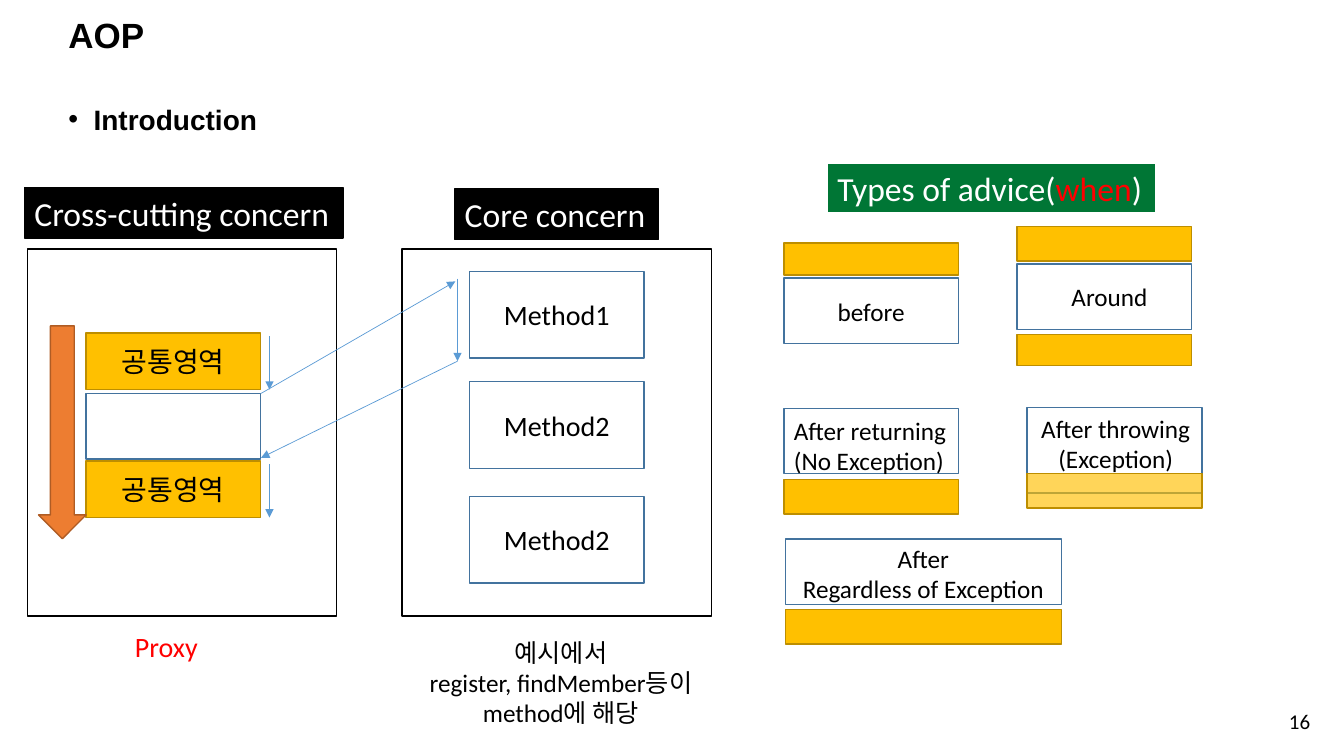
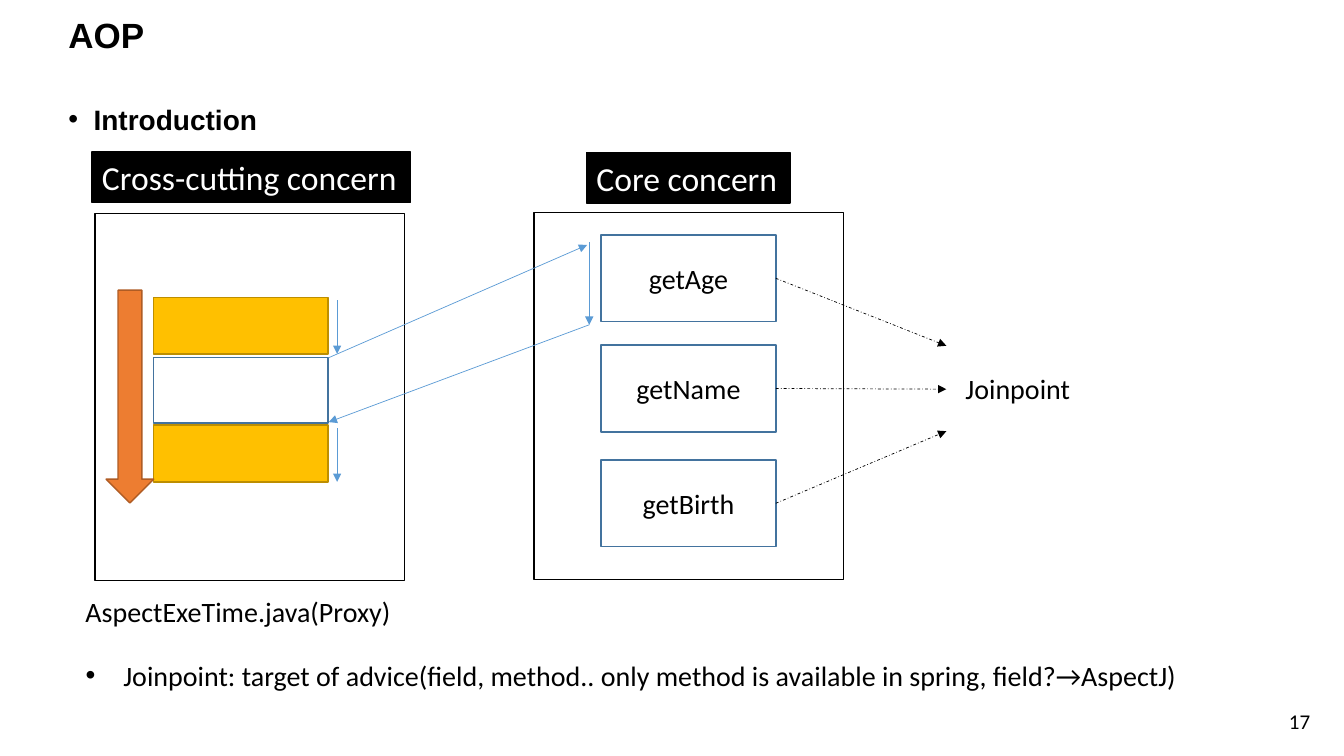
from dataclasses import dataclass

from lxml.etree import SubElement
from pptx import Presentation
from pptx.dml.color import RGBColor
from pptx.enum.dml import MSO_LINE
from pptx.enum.shapes import MSO_CONNECTOR, MSO_SHAPE
from pptx.enum.text import MSO_ANCHOR, MSO_AUTO_SIZE, PP_ALIGN
from pptx.oxml.ns import qn
from pptx.util import Pt


@dataclass(frozen=True)
class Theme:
    black: str = "000000"
    white: str = "FFFFFF"
    red: str = "FF0000"
    green: str = "007635"
    gold: str = "FFC000"
    gold_edge: str = "BD8E00"
    orange: str = "ED7D31"
    orange_edge: str = "AF5C24"
    box_edge: str = "43739E"
    flow: str = "5B9BD5"
    heading_font: str = "Arial"
    body_font: str = "Calibri"
    title: int = 25
    label: int = 24
    text: int = 20
    small: int = 18
    number: int = 15


theme = Theme()

# Content: panel origins are (left, top)
SLIDES = [
    {"number": "16", "proxy": (19.5, 178), "core": (287.3, 178),
     "common": "공통영역", "methods": ["Method1", "Method2", "Method2"]},
    {"number": "17", "proxy": (67.8, 152.5), "core": (381.4, 152),
     "common": "", "methods": ["getAge", "getName", "getBirth"]},
]
TITLE, TOPIC = "AOP", "Introduction"
PROXY_LABEL, CORE_LABEL = "Cross-cutting concern", "Core concern"
ADVICE_LABEL = ["Types of advice(", "when", ")"]
CORE_NOTE = ["예시에서", "register, findMember등이", "method에 해당"]
JOINPOINT_NOTE = ("Joinpoint: target of advice(field, method.. only method is "
                  "available in spring, field?→AspectJ)")

# Advice kinds: caption lines, caption box, method box, gold bands (top, height), opacity
ADVICE = [
    (["before"], (591, 208, 62.6, 29), (560, 198.7, 124.8, 46.8), [(173.5, 23)], None),
    (["After returning", "(No Exception)"], (560, 293, 125, 51),
     (560, 291.6, 124.8, 46.8), [(342.7, 24.5)], None),
    (["After throwing", "(Exception)"], (735.8, 291.6, 122.4, 51),
     (733.7, 290.9, 124.8, 61.2), [(338.4, 24.5)], 65),
    (["Around"], (758, 197.3, 69, 29), (726.5, 188.6, 124.8, 46.8),
     [(162, 24.5), (239, 22.3)], None),
    (["After", "Regardless of Exception"], (565.2, 384.5, 188.6, 51),
     (561, 385, 197.3, 46.8), [(435.6, 24.5)], None),
]

# Panel geometry, relative to the panel's corner
PANEL = (221, 262)
BOX_WIDTH = 124.8
COMMON_LEFT, COMMON_TOPS, COMMON_HEIGHT = 41.8, (59.8, 151.2), 40.5
GAP_TOP, GAP_HEIGHT = 103, 46.8
METHOD_LEFT, METHOD_TOPS, METHOD_HEIGHT = 48, (15.8, 94.5, 176.5), 62
JOINPOINT_X, JOINPOINT_YS = 676, (247, 278, 308)


def color(value):
    return RGBColor.from_string(value)


def shift(origin, x, y):
    return origin[0] + x, origin[1] + y


# Drawing helpers
def add_box(shapes, box, fill=None, line=None, width=1, kind=MSO_SHAPE.RECTANGLE, opacity=None):
    shape = shapes.add_shape(kind, *map(Pt, box))
    shape.shadow.inherit = False
    if fill:
        shape.fill.solid()
        shape.fill.fore_color.rgb = color(fill)
    else:
        shape.fill.background()
    shape.line.color.rgb = color(line)
    shape.line.width = Pt(width)
    if opacity:
        fill_color = shape.element.find(".//" + qn("a:srgbClr"))
        SubElement(fill_color, qn("a:alpha"), val=str(opacity * 1000))
    return shape


def write(shape, lines, size, ink=theme.black, align=PP_ALIGN.LEFT, anchor=MSO_ANCHOR.TOP,
          wrap=True, grow=False, font=theme.body_font, bold=False):
    frame = shape.text_frame
    frame.text = "\n".join(lines)
    frame.word_wrap = wrap
    frame.vertical_anchor = anchor
    frame.auto_size = MSO_AUTO_SIZE.SHAPE_TO_FIT_TEXT if grow else MSO_AUTO_SIZE.NONE
    for paragraph in frame.paragraphs:
        paragraph.alignment = align
        for run in paragraph.runs:
            style(run, size, ink, font, bold)
    return frame.paragraphs[0]


def style(run, size, ink, font=theme.body_font, bold=False):
    run.font.size = Pt(size)
    run.font.name = font
    run.font.bold = bold
    run.font.color.rgb = color(ink)


def add_text(slide, box, lines, size, **options):
    return write(slide.shapes.add_textbox(*map(Pt, box)), lines, size, **options)


def add_bullet(paragraph, indent):
    properties = paragraph._p.get_or_add_pPr()
    properties.set("marL", str(Pt(indent)))
    properties.set("indent", str(-Pt(indent)))
    SubElement(properties, qn("a:buFont"), typeface="Arial")
    SubElement(properties, qn("a:buChar"), char="•")


def add_arrow(slide, start, end, ink=theme.flow, dash=None):
    arrow = slide.shapes.add_connector(MSO_CONNECTOR.STRAIGHT, *map(Pt, start + end))
    arrow.line.color.rgb = color(ink)
    arrow.line.width = Pt(0.5)
    if dash:
        arrow.line.dash_style = dash
    properties = arrow.element.spPr
    SubElement(properties.find(qn("a:ln")), qn("a:tailEnd"), type="triangle")
    SubElement(properties, qn("a:effectLst"))


def add_label(slide, box, text):
    label = add_box(slide.shapes, box, theme.black, theme.black)
    write(label, [text], theme.label, theme.white, wrap=False, grow=True)


def add_centred_box(slide, box, text, fill, line):
    shape = add_box(slide.shapes, box, fill, line)
    if text:
        write(shape, [text], theme.text, align=PP_ALIGN.CENTER, anchor=MSO_ANCHOR.MIDDLE)


# Shared slide parts
def add_frame(slide, number):
    title = add_text(slide, (41.8, 13, 828, 27.4), [TITLE], theme.title,
                     anchor=MSO_ANCHOR.MIDDLE, font=theme.heading_font, bold=True)
    title.line_spacing = 0.9
    add_text(slide, (892, 500.4, 51, 28.8), [number], theme.number,
             align=PP_ALIGN.RIGHT, anchor=MSO_ANCHOR.MIDDLE)
    topic = add_text(slide, (41.8, 59.8, 892, 475), [TOPIC], theme.text,
                     font=theme.heading_font, bold=True)
    topic.line_spacing = 1.4
    topic.space_before = Pt(10)
    add_bullet(topic, 18)


def add_concerns(slide, proxy, core, common, methods):
    add_label(slide, shift(core, 37.5, -43) + (145.5, 36), CORE_LABEL)
    add_label(slide, shift(proxy, -2, -44) + (227.5, 36), PROXY_LABEL)
    for origin in (proxy, core):
        add_box(slide.shapes, origin + PANEL, theme.white, theme.black)

    add_box(slide.shapes, shift(proxy, COMMON_LEFT, GAP_TOP) + (BOX_WIDTH, GAP_HEIGHT),
            line=theme.box_edge)
    for top in COMMON_TOPS:
        add_centred_box(slide, shift(proxy, COMMON_LEFT, top) + (BOX_WIDTH, COMMON_HEIGHT),
                        common, theme.gold, theme.gold_edge)
        add_arrow(slide, shift(proxy, 173, top + 2.3), shift(proxy, 173, top + 40.5))
    for top, method in zip(METHOD_TOPS, methods):
        add_centred_box(slide, shift(core, METHOD_LEFT, top) + (BOX_WIDTH, METHOD_HEIGHT),
                        method, None, theme.box_edge)

    # Call into the method, run it, return
    add_arrow(slide, shift(proxy, 167, 103), shift(core, 38, 23))
    add_arrow(slide, shift(core, 39.5, 21), shift(core, 39.5, 80))
    add_arrow(slide, shift(core, 39.5, 80), shift(proxy, 167, 149))
    order = add_box(slide.shapes, shift(proxy, -51, 113.8) + (152, 34),
                    theme.orange, theme.orange_edge, kind=MSO_SHAPE.RIGHT_ARROW)
    order.rotation = 90


def add_advice(slide):
    label = add_box(slide.shapes, (591, 116.6, 234.7, 36), theme.green, theme.white, 1.5)
    paragraph = write(label, [""], theme.label, wrap=False, grow=True)
    for text, ink in zip(ADVICE_LABEL, (theme.white, theme.red, theme.white)):
        run = paragraph.add_run()
        run.text = text
        style(run, theme.label, ink)
    for caption, caption_box, method_box, bands, opacity in ADVICE:
        group = slide.shapes.add_group_shape()
        add_box(group.shapes, method_box, line=theme.box_edge)
        left, _, width, _ = method_box
        for top, height in bands:
            add_box(group.shapes, (left, top, width, height), theme.gold, theme.gold_edge,
                    opacity=opacity)
        centred = caption[0] != "After returning"
        add_text(slide, caption_box, caption, theme.small, wrap=False, grow=True,
                 align=PP_ALIGN.CENTER if centred else PP_ALIGN.LEFT)


def add_joinpoints(slide, core):
    for top, y in zip(METHOD_TOPS, JOINPOINT_YS):
        start = shift(core, METHOD_LEFT + BOX_WIDTH, top + METHOD_HEIGHT / 2)
        add_arrow(slide, start, (JOINPOINT_X, y), theme.black, MSO_LINE.DASH_DOT)
    add_text(slide, (682.5, 262, 106.5, 31.5), ["Joinpoint"], theme.text, grow=True)


# Build
presentation = Presentation()
presentation.slide_width, presentation.slide_height = Pt(960), Pt(540)
slides = []
for content in SLIDES:
    slide = presentation.slides.add_slide(presentation.slide_layouts[6])
    add_frame(slide, content["number"])
    add_concerns(slide, content["proxy"], content["core"], content["common"], content["methods"])
    slides.append(slide)
advice_slide, joinpoint_slide = slides

add_text(advice_slide, (89.3, 446.4, 59.8, 31.5), ["Proxy"], theme.text, ink=theme.red,
         wrap=False, grow=True)
add_text(advice_slide, (295.2, 451.4, 211, 72.7), CORE_NOTE, theme.small,
         align=PP_ALIGN.CENTER, wrap=False, grow=True)
add_advice(advice_slide)

add_text(joinpoint_slide, (54, 421.2, 247, 31.5), ["AspectExeTime.java(Proxy)"],
         theme.text, grow=True)
add_joinpoints(joinpoint_slide, SLIDES[1]["core"])
note = add_text(joinpoint_slide, (54, 466.6, 816, 31.5), [JOINPOINT_NOTE], theme.text, grow=True)
add_bullet(note, 27)

presentation.save("out.pptx")
